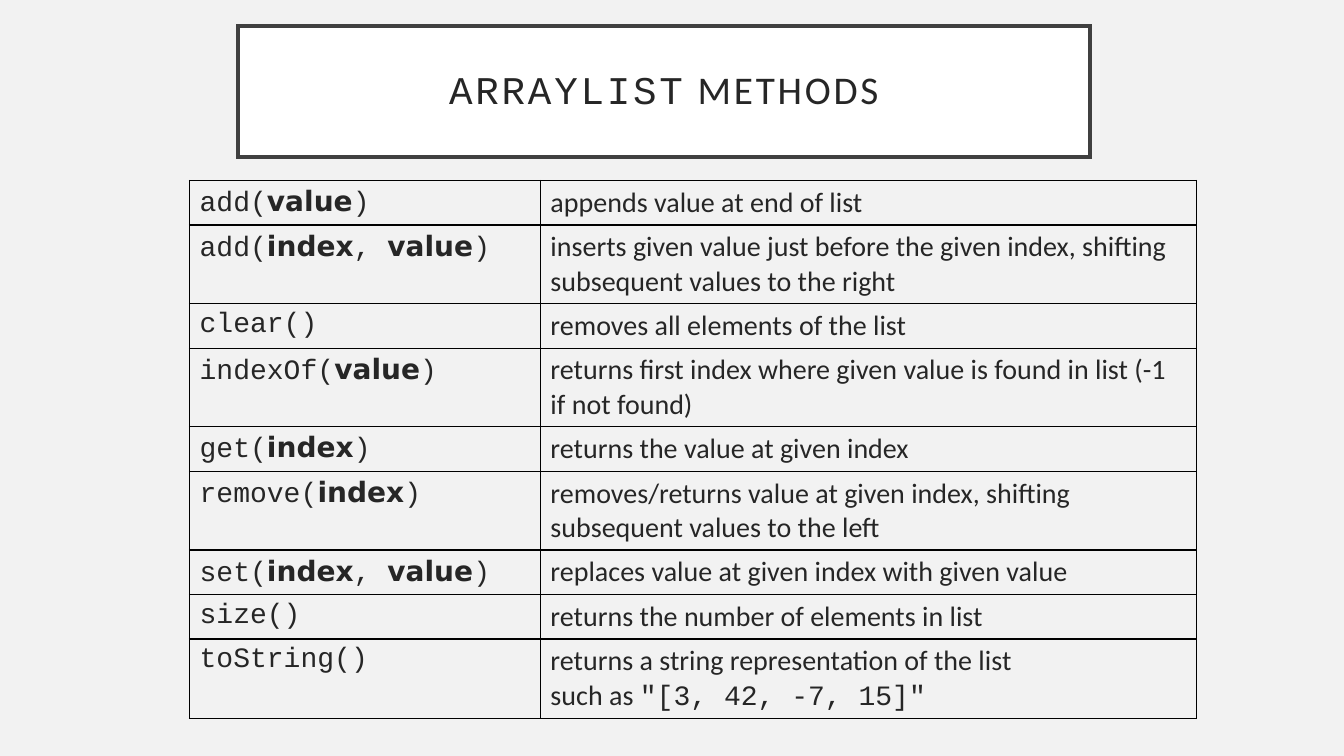
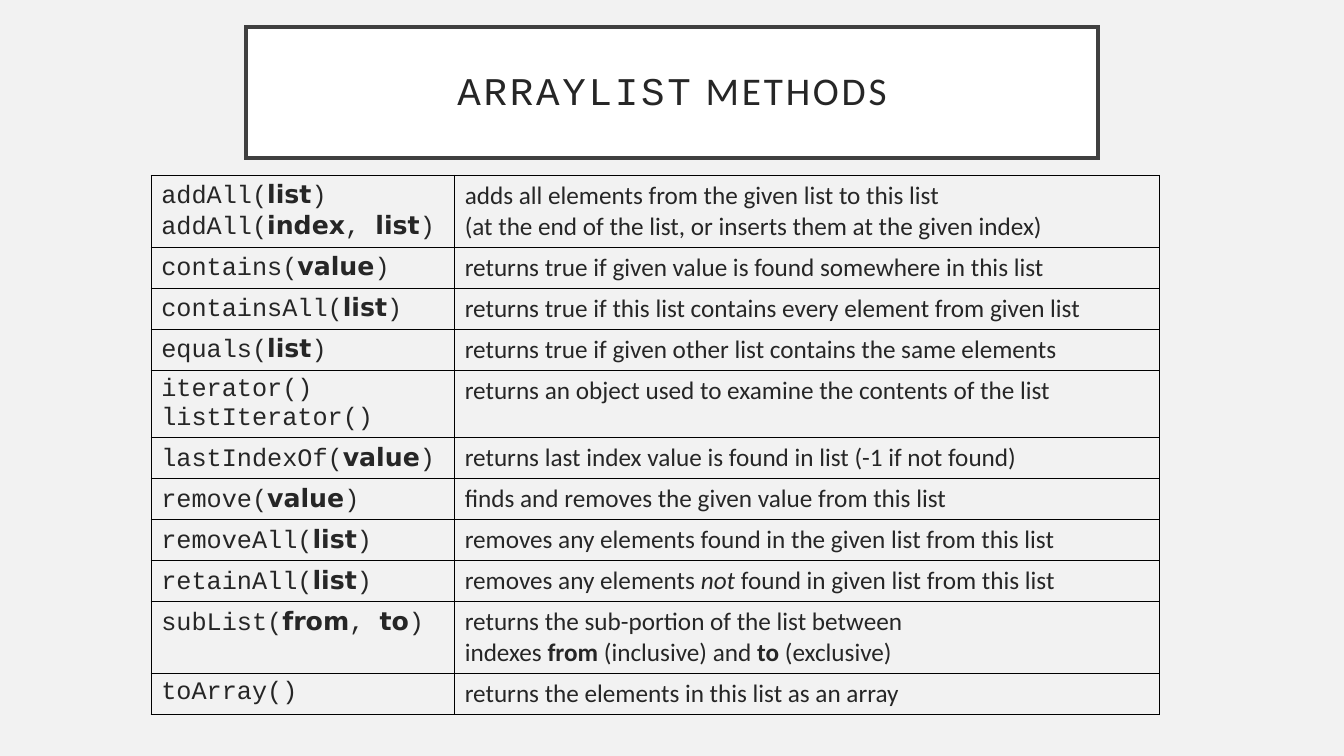
from math import ceil

from lxml.etree import SubElement
from pptx import Presentation
from pptx.dml.color import RGBColor
from pptx.enum.shapes import MSO_SHAPE
from pptx.enum.text import MSO_ANCHOR, PP_ALIGN
from pptx.oxml.ns import qn
from pptx.util import Inches, Pt

COLORS = {
    "background": "F2F2F2",
    "panel": "FFFFFF",
    "frame": "404040",
    "text": "262626",
    "grid": "000000",
}
CODE, BODY, ARGUMENT = "Courier New", "Calibri", "DejaVu Sans"

# Each style is (font, bold, italic). A marker switches its style on and off.
CODE_STYLES = {"": (CODE, False, False), "*": (ARGUMENT, True, False)}
BODY_STYLES = {
    "": (BODY, False, False),
    "*": (BODY, True, False),
    "~": (BODY, False, True),
    "`": (CODE, False, False),
}
COLUMN_STYLES = (CODE_STYLES, BODY_STYLES)

TITLE = "`ARRAYLIST` METHODS"
TITLE_SIZE = (8.45, 1.3)
CELL_PADDING = 0.1
LINE_FACTORS = (1.13, 1.22)
CHARACTER_WIDTH = 0.4

SLIDES = [
    {
        "title_at": (2.36, 0.26),
        "table_at": (1.88, 1.79),
        "columns": (3.48, 6.51),
        "font_size": 20,
        "methods": [
            ("add(*value*)", "appends value at end of list"),
            ("add(*index*, *value*)",
             "inserts given value just before the given index, shifting subsequent values to the right"),
            ("clear()", "removes all elements of the list"),
            ("indexOf(*value*)",
             "returns first index where given value is found in list (-1 if not found)"),
            ("get(*index*)", "returns the value at given index"),
            ("remove(*index*)",
             "removes/returns value at given index, shifting subsequent values to the left"),
            ("set(*index*, *value*)", "replaces value at given index with given value"),
            ("size()", "returns the number of elements in list"),
            ("toString()",
             'returns a string representation of the list\nsuch as `"[3, 42, -7, 15]"`'),
        ],
    },
    {
        "title_at": (2.44, 0.27),
        "table_at": (1.5, 1.74),
        "columns": (3.01, 6.99),
        "font_size": 18,
        "methods": [
            ("addAll(*list*)\naddAll(*index*, *list*)",
             "adds all elements from the given list to this list\n"
             "(at the end of the list, or inserts them at the given index)"),
            ("contains(*value*)", "returns true if given value is found somewhere in this list"),
            ("containsAll(*list*)",
             "returns true if this list contains every element from given list"),
            ("equals(*list*)", "returns true if given other list contains the same elements"),
            ("iterator()\nlistIterator()",
             "returns an object used to examine the contents of the list"),
            ("lastIndexOf(*value*)", "returns last index value is found in list (-1 if not found)"),
            ("remove(*value*)", "finds and removes the given value from this list"),
            ("removeAll(*list*)", "removes any elements found in the given list from this list"),
            ("retainAll(*list*)",
             "removes any elements ~not~ found in given list from this list"),
            ("subList(*from*, *to*)",
             "returns the sub-portion of the list between\v"
             "indexes *from* (inclusive) and *to* (exclusive)"),
            ("toArray()", "returns the elements in this list as an array"),
        ],
    },
]


def color(name):
    return RGBColor.from_string(COLORS[name])


def split_runs(line, styles):
    """Return (text, style) pairs for a line with style markers."""
    pieces, marker, text = [], "", ""
    for character in line:
        if character in styles:
            pieces.append((text, styles[marker]))
            marker = "" if marker else character
            text = ""
        else:
            text += character
    pieces.append((text, styles[marker]))
    return [piece for piece in pieces if piece[0]]


def add_runs(paragraph, line, styles, size):
    for piece, (font_name, bold, italic) in split_runs(line, styles):
        run = paragraph.add_run()
        run.text = piece
        run.font.name = font_name
        run.font.size = Pt(size)
        run.font.bold = bold
        run.font.italic = italic
        run.font.color.rgb = color("text")


def write_text(text_frame, text, styles, size):
    """Write one paragraph per newline and one line break per vertical tab."""
    for index, block in enumerate(text.split("\n")):
        paragraph = text_frame.add_paragraph() if index else text_frame.paragraphs[0]
        for line_index, line in enumerate(block.split("\v")):
            if line_index:
                paragraph.add_line_break()
            add_runs(paragraph, line, styles, size)


def add_title(slide, position):
    box = slide.shapes.add_shape(
        MSO_SHAPE.RECTANGLE, *(Inches(value) for value in position + TITLE_SIZE))
    box.shadow.inherit = False
    box.fill.solid()
    box.fill.fore_color.rgb = color("panel")
    box.line.color.rgb = color("frame")
    box.line.width = Pt(2.5)
    SubElement(box.line._get_or_add_ln(), qn("a:miter"), lim="800000")
    text_frame = box.text_frame
    text_frame.word_wrap = True
    text_frame.vertical_anchor = MSO_ANCHOR.MIDDLE
    for side in ("left", "top", "right", "bottom"):
        setattr(text_frame, f"margin_{side}", Inches(0.2))
    write_text(text_frame, TITLE, BODY_STYLES, 28)
    paragraph = text_frame.paragraphs[0]
    paragraph.alignment = PP_ALIGN.CENTER
    paragraph.line_spacing = 0.9
    for run in paragraph.runs:
        run.font._element.set("spc", "200")


def add_borders(cell):
    properties = cell._tc.get_or_add_tcPr()
    for side in ("lnL", "lnR", "lnT", "lnB"):
        line = SubElement(properties, qn(f"a:{side}"), w=str(Pt(1)))
        fill = SubElement(line, qn("a:solidFill"))
        SubElement(fill, qn("a:srgbClr"), val=COLORS["grid"])


def row_height(row, columns, size):
    """Return the height in inches of the taller cell, counting wrapped lines."""
    code, description = (text.splitlines() for text in row)
    characters = (columns[1] - 0.2) * 72 / (size * CHARACTER_WIDTH)
    counts = (len(code), sum(ceil(len(line) / characters) for line in description))
    return CELL_PADDING + max(
        count * size * factor / 72 for count, factor in zip(counts, LINE_FACTORS))


def add_method_table(slide, position, columns, size, methods):
    heights = [row_height(row, columns, size) for row in methods]
    frame = slide.shapes.add_table(
        len(methods), len(columns), *(Inches(value) for value in position),
        Inches(sum(columns)), Inches(sum(heights)))
    table = frame.table
    table.first_row = False
    table.horz_banding = False
    for column, width in zip(table.columns, columns):
        column.width = Inches(width)
    for row, height, texts in zip(table.rows, heights, methods):
        row.height = Inches(height)
        for cell, text, styles in zip(row.cells, texts, COLUMN_STYLES):
            add_borders(cell)
            cell.fill.solid()
            cell.fill.fore_color.rgb = color("background")
            write_text(cell.text_frame, text, styles, size)


def main():
    presentation = Presentation()
    presentation.slide_width = Inches(13.33)
    presentation.slide_height = Inches(7.5)
    background = presentation.slide_master.background.fill
    background.solid()
    background.fore_color.rgb = color("background")
    for content in SLIDES:
        slide = presentation.slides.add_slide(presentation.slide_layouts[6])
        add_title(slide, content["title_at"])
        add_method_table(slide, content["table_at"], content["columns"],
                         content["font_size"], content["methods"])
    presentation.save("out.pptx")


if __name__ == "__main__":
    main()
